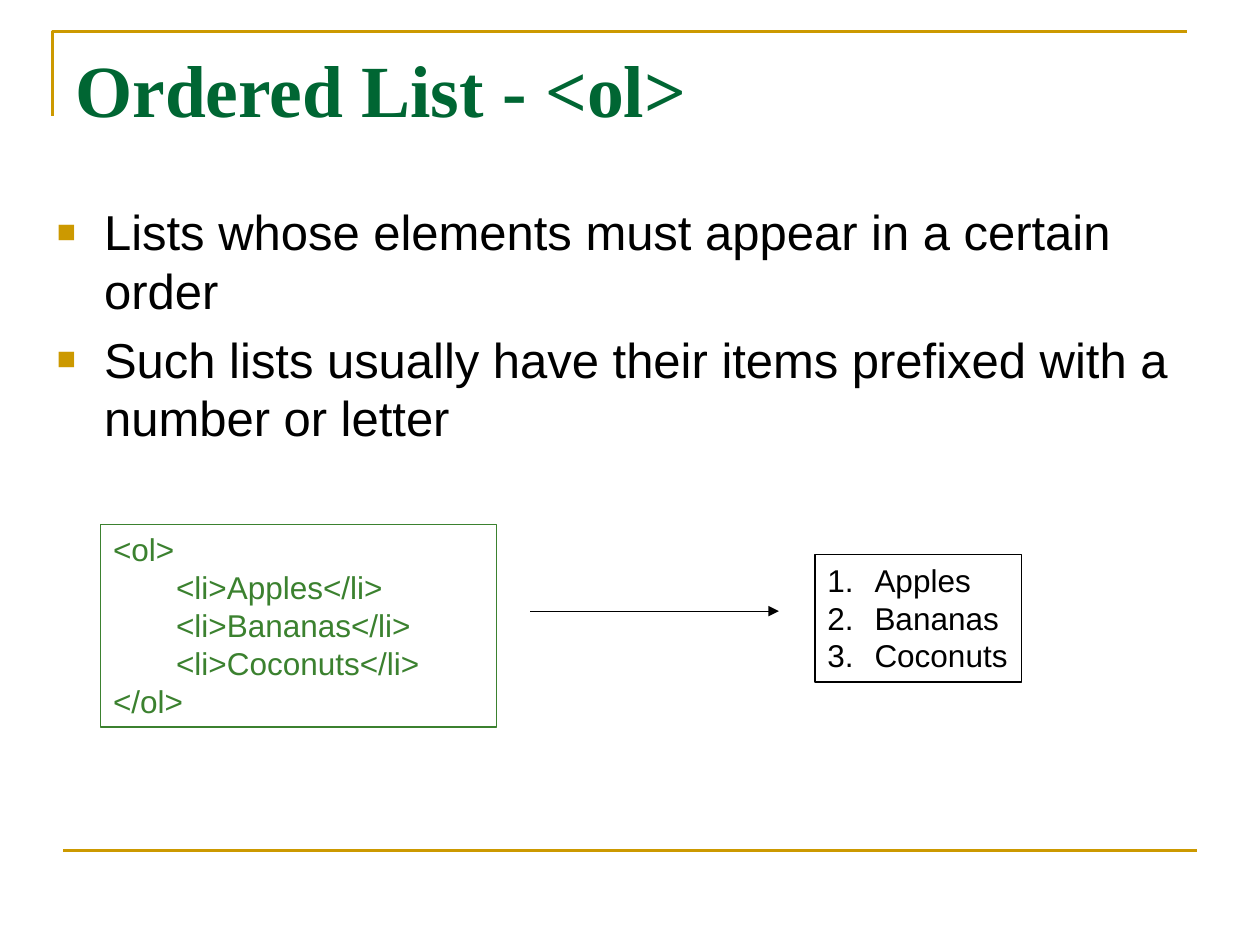
from lxml.etree import SubElement
from pptx import Presentation
from pptx.dml.color import RGBColor
from pptx.enum.shapes import MSO_CONNECTOR, MSO_SHAPE
from pptx.enum.text import MSO_ANCHOR, MSO_AUTO_SIZE, PP_ALIGN
from pptx.oxml.ns import qn
from pptx.util import Cm, Pt

HUES = {"gold": "CC9900", "pine": "006633", "leaf": "3B812F", "ink": "000000"}
SQUARE = [("buClr", {}), ("buSzPct", {"val": "65000"}),
          ("buFont", {"typeface": "Arial"}), ("buChar", {"char": "■"})]
NUMBER = [("buFont", {"typeface": "+mj-lt"}), ("buAutoNum", {"type": "arabicPeriod"})]


def hue(name):
    """Return the named colour."""
    return RGBColor.from_string(HUES[name])


def style(item, form):
    """Set each attribute of item from a dict."""
    for key, value in form.items():
        setattr(item, key, value)


def mark(para, marks):
    """Give a paragraph a hanging bullet or number."""
    props = para._p.get_or_add_pPr()
    props.set("marL", str(Cm(0.95)))
    props.set("indent", str(-Cm(0.95)))
    for tag, form in marks:
        node = SubElement(props, qn("a:" + tag), form)
        if tag == "buClr":
            SubElement(node, qn("a:srgbClr"), val=HUES["gold"])


def write(shape, lines, size, tint, face="Arial", bold=False, wrap=True, marks=(), gap=0):
    """Fill a shape with paragraphs."""
    frame = shape.text_frame
    style(frame, {"word_wrap": wrap, "vertical_anchor": MSO_ANCHOR.TOP,
                  "auto_size": MSO_AUTO_SIZE.NONE if wrap else MSO_AUTO_SIZE.SHAPE_TO_FIT_TEXT})
    for index, line in enumerate(lines):
        para = frame.add_paragraph() if index else frame.paragraphs[0]
        style(para, {"alignment": PP_ALIGN.LEFT, "space_before": Pt(gap)})
        if marks:
            mark(para, marks)
        run = para.add_run()
        run.text = line
        style(run.font, {"name": face, "size": Pt(size), "bold": bold})
        run.font.color.rgb = hue(tint)


def label(slide, area, lines, size, tint, **form):
    """Add a text box."""
    write(slide.shapes.add_textbox(*map(Cm, area)), lines, size, tint, **form)


def panel(slide, area, lines, tint, **form):
    """Add an outlined box of text."""
    box = slide.shapes.add_shape(MSO_SHAPE.RECTANGLE, *map(Cm, area))
    box.shadow.inherit = False
    box.fill.background()
    box.line.color.rgb = hue(tint)
    box.line.width = Pt(0.75)
    write(box, lines, 18, tint, wrap=False, **form)


def rule(slide, ends, tint, width, arrow=False):
    """Add a straight line, with an arrowhead if asked."""
    line = slide.shapes.add_connector(MSO_CONNECTOR.STRAIGHT, *map(Cm, ends))
    line.line.color.rgb = hue(tint)
    line.line.width = Pt(width)
    if arrow:
        SubElement(line.line._get_or_add_ln(), qn("a:tailEnd"), type="triangle")
    SubElement(line._element.spPr, qn("a:effectLst"))


def corner(slide):
    """Draw the open corner around the title."""
    pen = slide.shapes.build_freeform(Cm(1.06), Cm(2.33))
    pen.add_line_segments([(Cm(1.06), Cm(0.64)), (Cm(23.92), Cm(0.64))], close=False)
    shape = pen.convert_to_shape()
    shape.shadow.inherit = False
    shape.fill.background()
    shape.line.color.rgb = hue("gold")
    shape.line.width = Pt(1.5)


def main():
    """Build and save the slide."""
    deck = Presentation()
    style(deck, {"slide_width": Cm(25.4), "slide_height": Cm(19.05)})
    slide = deck.slides.add_slide(deck.slide_layouts[6])
    corner(slide)
    rule(slide, (1.27, 17.15, 24.13, 17.15), "gold", 1.5)
    label(slide, (1.27, 0.76, 22.86, 3.18), ["Ordered List - <ol>"], 42, "pine",
          face="Times New Roman", bold=True)
    label(slide, (0.9, 3.94, 23.6, 12.57),
          ["Lists whose elements must appear in a certain order",
           "Such lists usually have their items prefixed with a number or letter"],
          28, "ink", marks=SQUARE, gap=5.6)
    fruits = ["Apples", "Bananas", "Coconuts"]
    code = ["<ol>", *(f"\t<li>{fruit}</li>" for fruit in fruits), "</ol>"]
    panel(slide, (2.03, 10.57, 7.98, 4.09), code, "leaf")
    panel(slide, (16.43, 11.18, 4.17, 2.57), fruits, "ink", marks=NUMBER)
    rule(slide, (10.69, 12.32, 15.7, 12.32), "ink", 0.75, arrow=True)
    deck.save("out.pptx")


if __name__ == "__main__":
    main()
